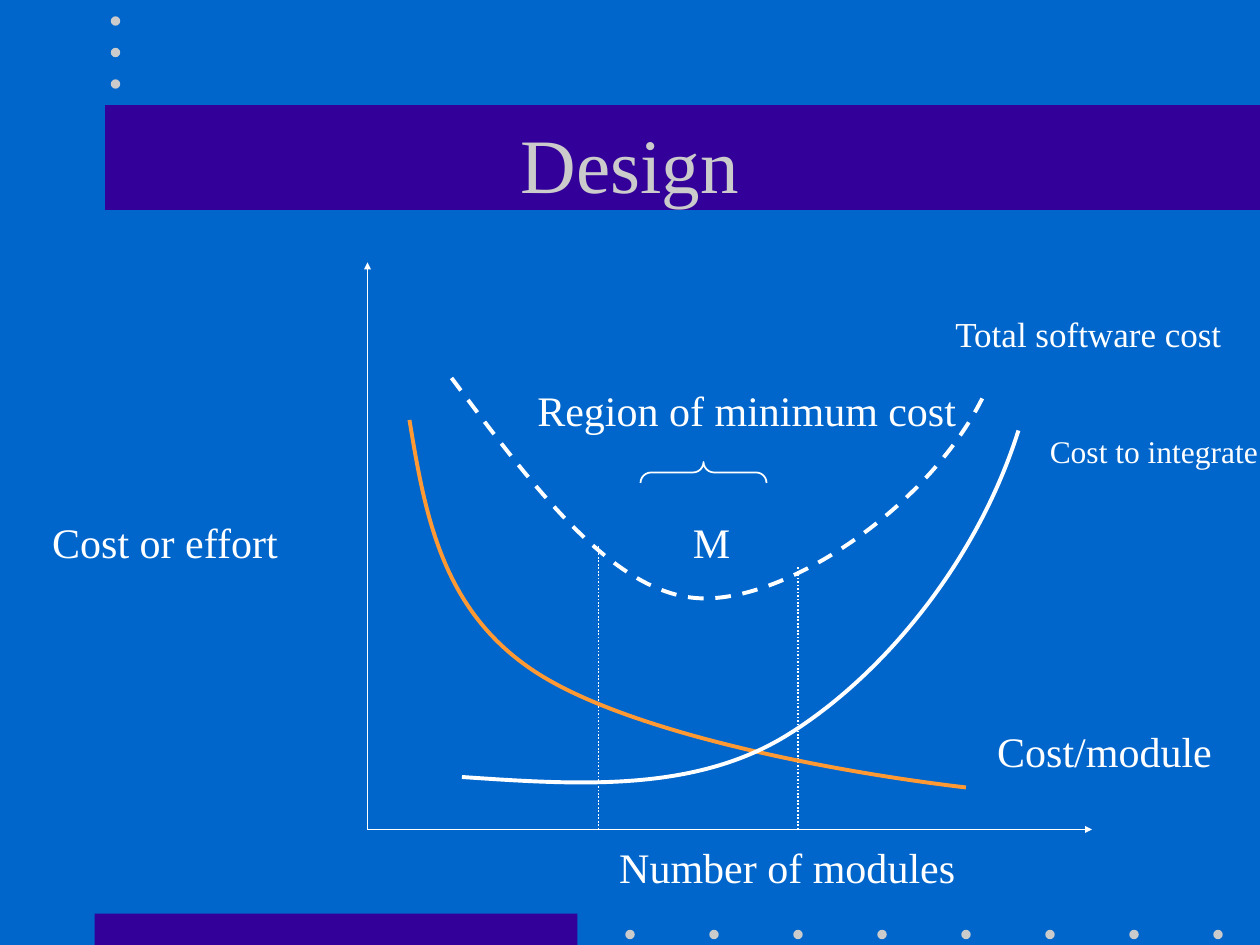
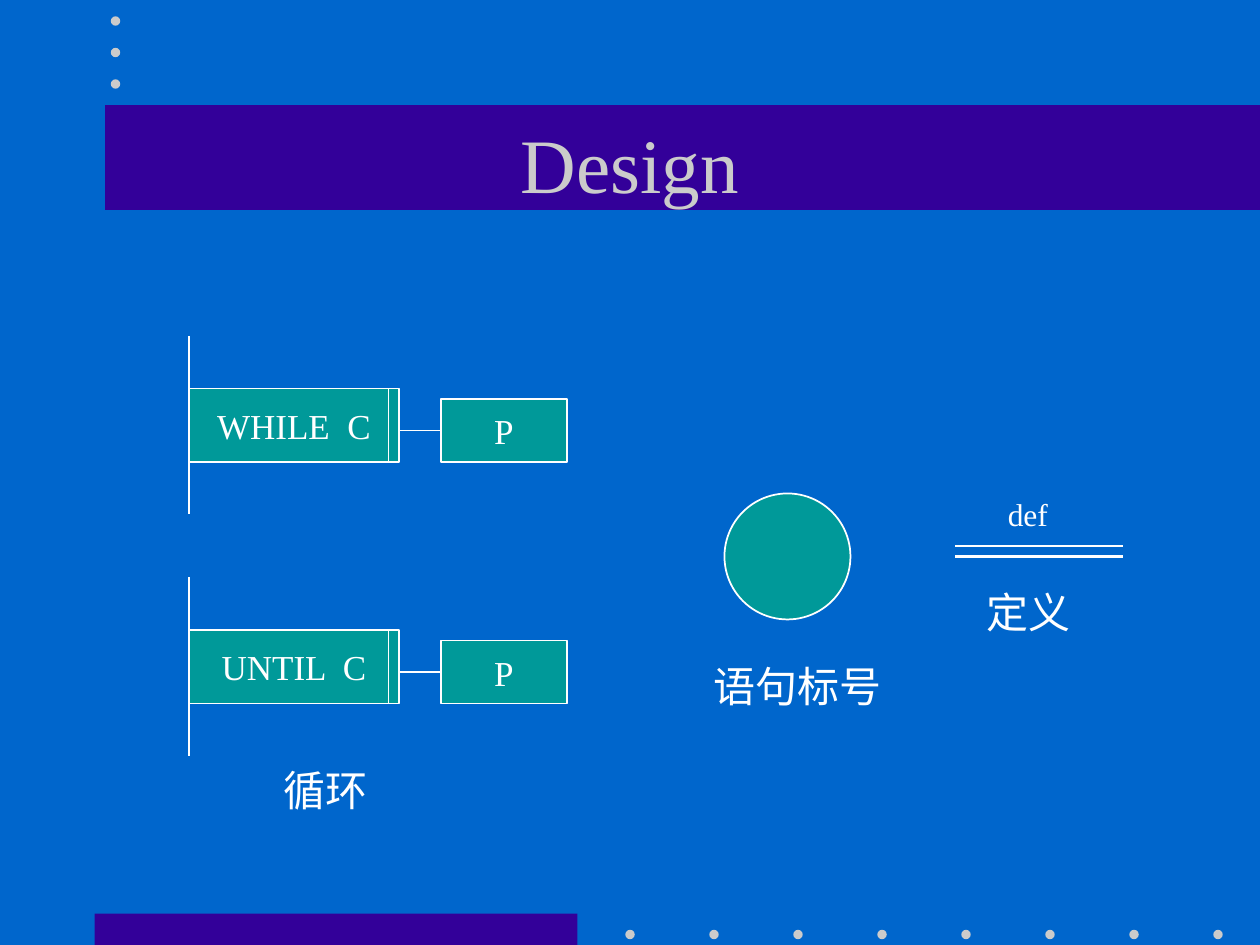
"""Build two software design slides: the module cost curve and loop notation."""
from lxml import etree
from pptx import Presentation
from pptx.dml.color import RGBColor
from pptx.enum.dml import MSO_LINE
from pptx.enum.shapes import MSO_CONNECTOR, MSO_SHAPE
from pptx.enum.text import MSO_ANCHOR, MSO_AUTO_SIZE, PP_ALIGN
from pptx.oxml.ns import qn
from pptx.util import Inches, Pt

BLUE = RGBColor(0x00, 0x66, 0xCC)
PURPLE = RGBColor(0x33, 0x00, 0x99)
GREY = RGBColor(0xCB, 0xCB, 0xCB)
TEAL = RGBColor(0x00, 0x99, 0x99)
ORANGE = RGBColor(0xFF, 0x99, 0x33)
WHITE = RGBColor(0xFF, 0xFF, 0xFF)
FONT = "Times New Roman"
RECTANGLE, OVAL, BRACE = MSO_SHAPE.RECTANGLE, MSO_SHAPE.OVAL, MSO_SHAPE.LEFT_BRACE
DASH, DOTS = MSO_LINE.DASH, MSO_LINE.ROUND_DOT
STRAIGHT = MSO_CONNECTOR.STRAIGHT
LEFT, CENTER = PP_ALIGN.LEFT, PP_ALIGN.CENTER
TOP, MIDDLE = MSO_ANCHOR.TOP, MSO_ANCHOR.MIDDLE
FIXED, GROW = MSO_AUTO_SIZE.NONE, MSO_AUTO_SIZE.SHAPE_TO_FIT_TEXT
LEFT_SIDE = 1
COLUMNS, ROWS = 120, 90
CELL = Inches(10) // COLUMNS


def write(shape, text, size=24, color=WHITE, align=CENTER, anchor=MIDDLE,
          wrap=False, fit=FIXED):
    frame = shape.text_frame
    frame.word_wrap = wrap
    frame.auto_size = fit
    frame.vertical_anchor = anchor
    paragraph = frame.paragraphs[0]
    paragraph.alignment = align
    run = paragraph.add_run()
    run.text = text
    run.font.name = FONT
    run.font.size = Pt(size)
    run.font.color.rgb = color


def draw_line(slide, *ends, width=1, dash=None, arrow=False):
    connector = slide.shapes.add_connector(STRAIGHT, *[round(CELL * end) for end in ends])
    connector.line.color.rgb = WHITE
    connector.line.width = Pt(width)
    if dash:
        connector.line.dash_style = dash
    properties = connector.element.spPr
    if arrow:
        etree.SubElement(properties.find(qn("a:ln")), qn("a:tailEnd"),
                         type="triangle", w="sm", len="sm")
    etree.SubElement(properties, qn("a:effectLst"))
    return connector


presentation = Presentation()
presentation.slide_width = CELL * COLUMNS
presentation.slide_height = CELL * ROWS
presentation.slide_master.background.fill.solid()
presentation.slide_master.background.fill.fore_color.rgb = BLUE
layout = presentation.slide_layouts[5]
for placeholder in list(layout.placeholders)[1:]:
    placeholder.element.getparent().remove(placeholder.element)

cost_slide = presentation.slides.add_slide(layout)
notation_slide = presentation.slides.add_slide(layout)
for slide in (cost_slide, notation_slide):
    title = slide.shapes.title
    title.left, title.top, title.width, title.height = [CELL * n for n in (9, 8, 102, 15)]
    write(title, "Design", size=44, color=GREY, wrap=True)

DOT = 0.9
dot_centers = [(11, 2 + 3 * i) for i in range(3)] + [(60 + 8 * i, 89) for i in range(8)]
decorations = [(RECTANGLE, PURPLE, (9, 87, 46, 3)), (RECTANGLE, PURPLE, (10, 10, 110, 10))]
decorations += [(OVAL, GREY, (x - DOT / 2, y - DOT / 2, DOT, DOT)) for x, y in dot_centers]
for kind, color, frame in decorations:
    shape = cost_slide.shapes.add_shape(kind, *[round(CELL * n) for n in frame])
    shape.shadow.inherit = False
    shape.fill.solid()
    shape.fill.fore_color.rgb = color
    shape.line.fill.background()
    layout.shapes.element.append(shape.element)

draw_line(cost_slide, 35, 79, 35, 25, arrow=True)
draw_line(cost_slide, 35, 79, 104, 79, arrow=True)
for column, row in ((57, 52), (76, 54)):
    draw_line(cost_slide, column, 79, column, row, dash=DOTS)

curves = [
    (ORANGE, None, [(39, 40), (40.5, 49.1), (42.1, 58.2), (51, 64),
                    (59.9, 69.8), (79.2, 73.5), (92, 75)]),
    (WHITE, None, [(44, 74), (55, 74.75), (66.1, 75.5), (75, 70),
                   (83.9, 64.5), (93, 53.7), (97, 41)]),
    (WHITE, DASH, [(43, 36), (50.8, 46.4), (58.6, 56.9), (67, 57),
                   (75.5, 57.1), (89.2, 47.7), (94, 37)]),
]
for color, dash, points in curves:
    start, *controls = [(CELL * x, CELL * y) for x, y in points]
    builder = cost_slide.shapes.build_freeform(*start)
    builder.add_line_segments(controls, close=False)
    curve = builder.convert_to_shape()
    segments = list(curve.element.iter(qn("a:lnTo")))
    for i in range(0, len(segments), 3):
        bezier = etree.SubElement(segments[i].getparent(), qn("a:cubicBezTo"))
        for segment in segments[i:i + 3]:
            bezier.append(segment[0])
            segment.getparent().remove(segment)
    curve.shadow.inherit = False
    curve.fill.background()
    curve.line.color.rgb = color
    curve.line.width = Pt(2.25)
    if dash:
        curve.line.dash_style = dash

brace = cost_slide.shapes.add_shape(BRACE, *[CELL * n for n in (66, 39, 2, 12)])
brace.rotation = 90
brace.adjustments[0] = 0.5
brace.shadow.inherit = False
brace.fill.background()
brace.line.color.rgb = WHITE
brace.line.width = Pt(1)

LOOP_TOPS = (37, 60)
blocks = [(OVAL, "", (69, 47, 12, 12))]
for keyword, top in zip(("WHILE", "UNTIL"), LOOP_TOPS):
    blocks.append((RECTANGLE, f"{keyword}  C", (18, top, 20, 7)))
    blocks.append((RECTANGLE, "P", (42, top + 1, 12, 6)))
bodies = []
for kind, text, frame in blocks:
    block = notation_slide.shapes.add_shape(kind, *[CELL * n for n in frame])
    block.shadow.inherit = False
    block.fill.solid()
    block.fill.fore_color.rgb = TEAL
    block.line.color.rgb = WHITE
    block.line.width = Pt(1)
    if text:
        write(block, text, size=20)
    if text == "P":
        bodies.append(block)

for top, body in zip(LOOP_TOPS, bodies):
    draw_line(notation_slide, 18, top - 5, 18, top + 12)
    draw_line(notation_slide, 37, top, 37, top + 7)
    draw_line(notation_slide, 38, top + 4, 42, top + 4).end_connect(body, LEFT_SIDE)
for row in (52, 53):
    draw_line(notation_slide, 91, row, 107, row, width=1.5)

labels = [
    (cost_slide, "Total software cost", 20, (89.8, 29.2, 29, 5.3)),
    (cost_slide, "Cost to integrate", 18, (98.8, 40.6, 23, 4.8)),
    (cost_slide, "Cost/module", 24, (93.8, 68.5, 24, 6)),
    (cost_slide, "Number of modules", 24, (57.8, 79.6, 35.5, 6)),
    (cost_slide, "Cost or effort", 24, (3.8, 48.6, 25, 6)),
    (cost_slide, "Region of minimum cost", 24, (50, 36, 43.5, 6)),
    (cost_slide, "M", 24, (64.8, 48.6, 7, 6)),
    (notation_slide, "循环", 24, (25.8, 72.2, 11.5, 6)),
    (notation_slide, "语句标号", 24, (66.8, 62.3, 19.5, 6)),
    (notation_slide, "定义", 24, (92.8, 55.3, 11.5, 6)),
    (notation_slide, "def", 18, (94.8, 46.6, 7, 4.8)),
]
for slide, text, size, frame in labels:
    label = slide.shapes.add_textbox(*[round(CELL * n) for n in frame])
    write(label, text, size=size, align=LEFT, anchor=TOP, fit=GROW)

presentation.save("out.pptx")
